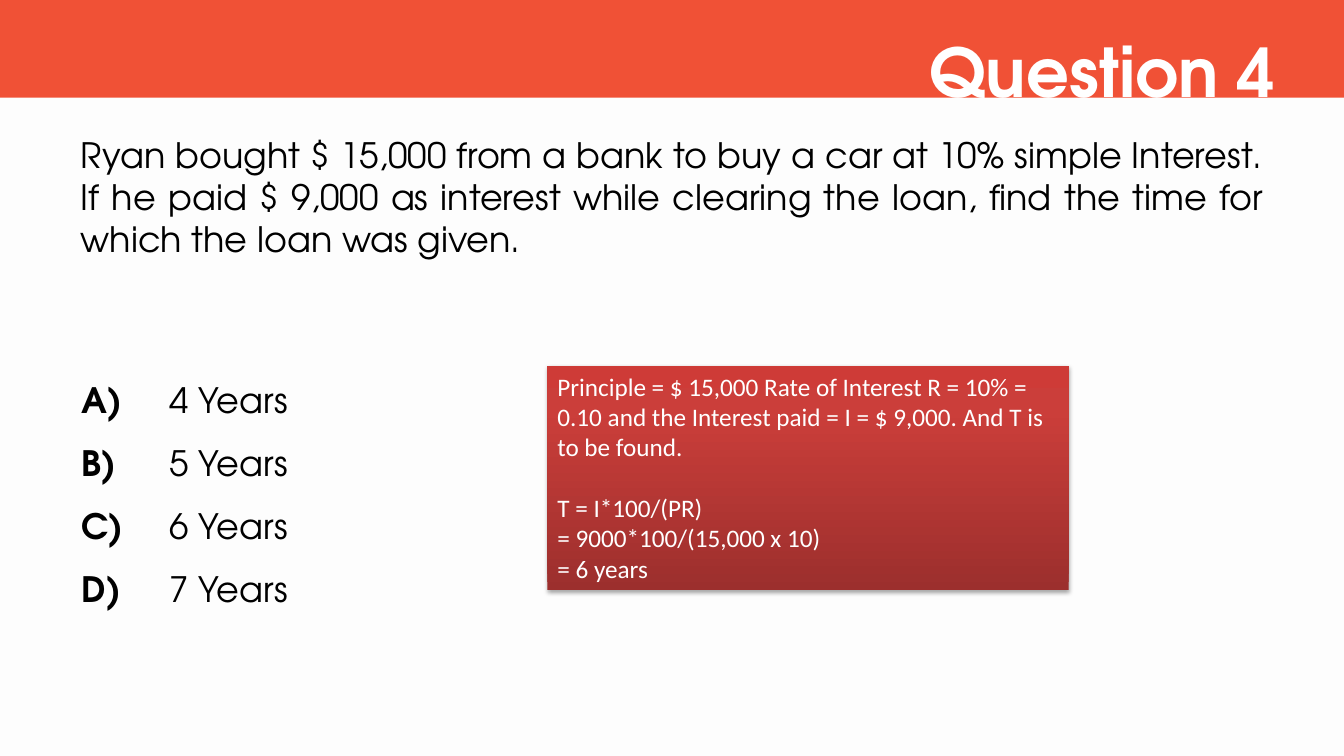
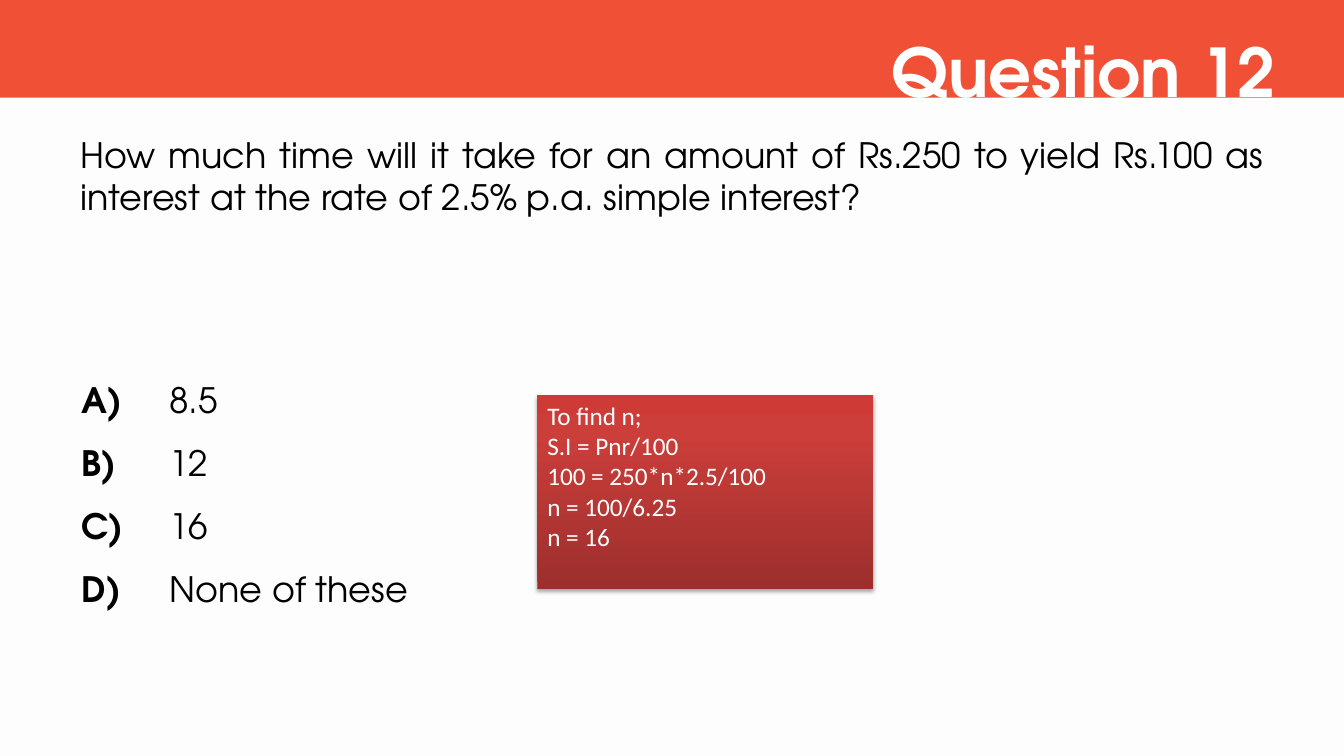
from dataclasses import dataclass

from pptx import Presentation
from pptx import util as u
from pptx.dml.color import RGBColor
from pptx.enum import shapes, text
from pptx.oxml import parse_xml
from pptx.oxml.ns import nsdecls
from pptx.oxml.xmlchemy import OxmlElement

# Scale: 100 px to the inch
EMU_PER_PX = 9144
SLIDE_WIDTH, SLIDE_HEIGHT = 1333, 750

# Shared style
PAPER = RGBColor(0xFD, 0xFD, 0xFD)
BAND = RGBColor(0xF0, 0x51, 0x36)
BLACK = RGBColor(0x00, 0x00, 0x00)
WHITE = RGBColor(0xFF, 0xFF, 0xFF)
SOLUTION_STOPS = (
    (0, RGBColor(0x9C, 0x2F, 0x2D)),
    (80, RGBColor(0xCB, 0x3E, 0x3A)),
    (100, RGBColor(0xCE, 0x3B, 0x37)),
)
QUIZ_FONT, SOLUTION_FONT = "TeX Gyre Adventor", "Calibri"
TITLE_SIZE, QUIZ_SIZE, SOLUTION_SIZE = 48, 25, 18
SECTION_GAP = 22  # points, one solution line
OPTION_INDENT = 87
TWO_CONTENT_LAYOUT = 3


@dataclass(frozen=True)
class Box:
    left: int
    top: int
    width: int
    height: int


BAND_BOX = Box(0, 0, SLIDE_WIDTH, 97)
TITLE_BOX = Box(425, 25, 850, 91)
OPTIONS_BOX = Box(71, 350, 1191, 262)


@dataclass(frozen=True)
class Question:
    title: str
    prompt: str
    prompt_box: Box
    options: tuple[str, ...]
    solution_box: Box
    solution: tuple[tuple[str, ...], ...]  # sections of lines


QUESTIONS = (
    Question(
        "Question 4",
        "Ryan bought $ 15,000 from a bank to buy a car at 10% simple Interest. "
        "If he paid $ 9,000 as interest while clearing the loan, find the time "
        "for which the loan was given.",
        Box(70, 127, 1193, 136),
        ("4 Years", "5 Years", "6 Years", "7 Years"),
        Box(543, 363, 517, 222),
        (
            ("Principle = $ 15,000 Rate of Interest R = 10% = 0.10 and the "
             "Interest paid = I = $ 9,000. And T is to be found.",),
            ("T = I*100/(PR)", "= 9000*100/(15,000 x 10)", "= 6 years"),
        ),
    ),
    Question(
        "Question 12",
        "How much time will it take for an amount of Rs.250 to yield Rs.100 as "
        "interest at the rate of 2.5% p.a. simple interest?",
        Box(70, 127, 1193, 94),
        ("8.5", "12", "16", "None of these"),
        Box(533, 392, 333, 192),
        (
            ("To find n;", "S.I = Pnr/100", "100 = 250*n*2.5/100",
             "n = 100/6.25", "n = 16"),
        ),
    ),
)


def px(length: int) -> u.Emu:
    return u.Emu(length * EMU_PER_PX)


def place(shape, box: Box) -> None:
    shape.left, shape.top = px(box.left), px(box.top)
    shape.width, shape.height = px(box.width), px(box.height)


def prepare_frame(shape):
    frame = shape.text_frame
    frame.word_wrap = True
    frame.auto_size = text.MSO_AUTO_SIZE.NONE
    frame.vertical_anchor = text.MSO_ANCHOR.TOP
    return frame


def format_paragraph(paragraph, font: str, size: int, color: RGBColor,
                     align=text.PP_ALIGN.LEFT, bold: bool = False,
                     before: int = 0) -> None:
    paragraph.alignment = align
    paragraph.space_before = u.Pt(before)
    for run in paragraph.runs:
        run.font.name, run.font.size = font, u.Pt(size)
        run.font.bold, run.font.color.rgb = bold, color


def remove_bullet(paragraph, indent: int = 0) -> None:
    """Drop the bullet and hang the first line by indent, with a tab there."""
    properties = paragraph._p.get_or_add_pPr()
    properties.set("marL", str(px(indent)))
    properties.set("indent", str(-px(indent)))
    properties.append(OxmlElement("a:buNone"))
    if indent:
        properties.append(parse_xml(
            f'<a:tabLst {nsdecls("a")}><a:tab pos="{px(indent)}" algn="l"/></a:tabLst>'))


def add_rectangle(slide, box: Box):
    shape = slide.shapes.add_shape(shapes.MSO_SHAPE.RECTANGLE, 0, 0, 0, 0)
    place(shape, box)
    shape.line.fill.background()
    shape.shadow.inherit = False
    return shape


def move_band_to_layout(slide) -> None:
    """Draw the band and hand it to the layout, so that all slides share it."""
    band = add_rectangle(slide, BAND_BOX)
    band.fill.solid()
    band.fill.fore_color.rgb = BAND
    slide.slide_layout.shapes._spTree.insert(2, band._element)


def write_title(slide, title: str) -> None:
    shape = slide.shapes.title
    place(shape, TITLE_BOX)
    frame = prepare_frame(shape)
    frame.text = title
    format_paragraph(frame.paragraphs[0], QUIZ_FONT, TITLE_SIZE, WHITE,
                     text.PP_ALIGN.RIGHT, bold=True)


def write_prompt(slide, question: Question) -> None:
    shape = slide.placeholders[1]
    place(shape, question.prompt_box)
    frame = prepare_frame(shape)
    frame.text = question.prompt
    remove_bullet(frame.paragraphs[0])
    format_paragraph(frame.paragraphs[0], QUIZ_FONT, QUIZ_SIZE, BLACK,
                     text.PP_ALIGN.JUSTIFY)


def write_options(slide, options: tuple[str, ...]) -> None:
    shape = slide.placeholders[2]
    place(shape, OPTIONS_BOX)
    frame = prepare_frame(shape)
    frame.text = "\n".join(f"{letter})\t" for letter, _ in zip("ABCD", options))
    for paragraph, option in zip(frame.paragraphs, options):
        remove_bullet(paragraph, OPTION_INDENT)
        paragraph.add_run().text = option
        format_paragraph(paragraph, QUIZ_FONT, QUIZ_SIZE, BLACK)
        paragraph.runs[0].font.bold = True
        paragraph.line_spacing = 1.5


def style_solution(shape) -> None:
    """Give the solution box its three-stop gradient and soft shadow."""
    stops = "".join(
        f'<a:gs pos="{position * 1000}"><a:srgbClr val="{color}"/></a:gs>'
        for position, color in SOLUTION_STOPS)
    properties = shape._element.spPr
    properties.prstGeom.addnext(parse_xml(
        f'<a:gradFill {nsdecls("a")} rotWithShape="1"><a:gsLst>{stops}</a:gsLst>'
        '<a:lin ang="16200000" scaled="0"/></a:gradFill>'))
    properties.effectLst.append(parse_xml(
        f'<a:outerShdw {nsdecls("a")} blurRad="40000" dist="23000" dir="5400000" '
        'rotWithShape="0"><a:srgbClr val="000000"><a:alpha val="35000"/>'
        '</a:srgbClr></a:outerShdw>'))


def add_solution(slide, question: Question) -> None:
    shape = add_rectangle(slide, question.solution_box)
    style_solution(shape)
    frame = prepare_frame(shape)
    frame.text = "\n".join(line for section in question.solution for line in section)
    paragraphs = iter(frame.paragraphs)
    for section_index, section in enumerate(question.solution):
        for line_index, _ in enumerate(section):
            starts_section = section_index > 0 and line_index == 0
            format_paragraph(next(paragraphs), SOLUTION_FONT, SOLUTION_SIZE, WHITE,
                             before=SECTION_GAP if starts_section else 0)


def main() -> None:
    presentation = Presentation()
    presentation.slide_width = px(SLIDE_WIDTH)
    presentation.slide_height = px(SLIDE_HEIGHT)
    background = presentation.slide_master.background.fill
    background.solid()
    background.fore_color.rgb = PAPER
    layout = presentation.slide_layouts[TWO_CONTENT_LAYOUT]

    for question in QUESTIONS:
        slide = presentation.slides.add_slide(layout)
        write_title(slide, question.title)
        write_prompt(slide, question)
        write_options(slide, question.options)
        add_solution(slide, question)
    move_band_to_layout(slide)

    presentation.save("out.pptx")


if __name__ == "__main__":
    main()
